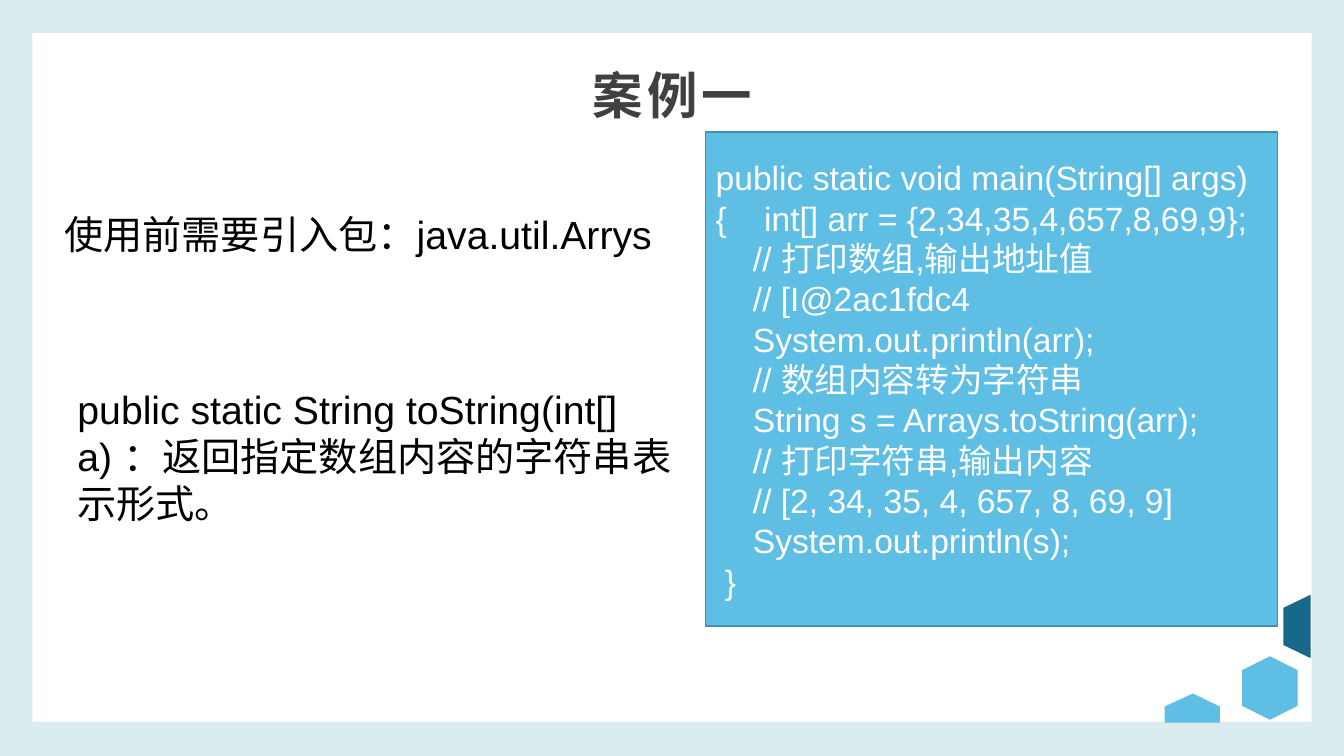
"""Builds a slide on printing Java arrays as strings."""
from lxml.etree import SubElement
from pptx import Presentation
from pptx.dml.color import RGBColor
from pptx.enum.shapes import MSO_SHAPE
from pptx.enum.text import MSO_ANCHOR, MSO_AUTO_SIZE, PP_ALIGN
from pptx.oxml.ns import qn
from pptx.util import Inches, Pt

CODE = """public static void main(String[] args) {    int[] arr = {2,34,35,4,657,8,69,9};
    // 打印数组,输出地址值
    // [I@2ac1fdc4
    System.out.println(arr);
    // 数组内容转为字符串
    String s = Arrays.toString(arr);
    // 打印字符串,输出内容
    // [2, 34, 35, 4, 657, 8, 69, 9]
    System.out.println(s);
 }"""


def color(code):
    return RGBColor.from_string(code)


class Deck:
    latin = "Arial"
    asian = "Noto Sans CJK SC"
    pale, white, blue, deep = "DBECF1", "FFFFFF", "5EBEE4", "17698A"
    edge, gray, black = "468DA9", "404040", "000000"

    def __init__(self):
        self.show = Presentation()
        self.show.slide_width = Inches(13.33)
        self.show.slide_height = Inches(7.5)
        self.slide = self.show.slides.add_slide(self.show.slide_layouts[6])
        back = self.slide.background.fill
        back.solid()
        back.fore_color.rgb = color(self.pale)

    def paint(self, shape, fill, line=None):
        shape.shadow.inherit = False
        shape.fill.solid()
        shape.fill.fore_color.rgb = color(fill)
        if line:
            shape.line.color.rgb = color(line)
            shape.line.width = Pt(1)
        else:
            shape.line.fill.background()
        return shape

    def block(self, kind, area, fill, line=None):
        shape = self.slide.shapes.add_shape(kind, *map(Inches, area))
        return self.paint(shape, fill, line)

    def outline(self, points, fill):
        first, *rest = [(Inches(x), Inches(y)) for x, y in points]
        form = self.slide.shapes.build_freeform(*first)
        form.add_line_segments(rest)
        return self.paint(form.convert_to_shape(), fill)

    def label(self, frame, text, size, ink, font=latin):
        frame.word_wrap = True
        frame.text = text
        for para in frame.paragraphs:
            para.alignment = PP_ALIGN.LEFT
            for run in para.runs:
                run.font.size = Pt(size)
                run.font.color.rgb = color(ink)
                run.font.name = font
                SubElement(run.font._element, qn("a:ea"), typeface=self.asian)

    def note(self, area, text):
        frame = self.slide.shapes.add_textbox(*map(Inches, area)).text_frame
        self.label(frame, text, 28, self.black)
        frame.auto_size = MSO_AUTO_SIZE.SHAPE_TO_FIT_TEXT

    def title(self, area, text):
        frame = self.slide.shapes.add_textbox(*map(Inches, area)).text_frame
        self.label(frame, text, 36, self.gray, self.asian)
        frame.vertical_anchor = MSO_ANCHOR.MIDDLE
        frame.margin_left = frame.margin_right = Inches(0.08)
        frame.margin_top, frame.margin_bottom = Inches(0.04), Inches(0.12)
        para = frame.paragraphs[0]
        para.alignment = PP_ALIGN.CENTER
        para.line_spacing = 0.9
        para.space_after = Pt(8)
        font = para.runs[0].font
        font.bold = True
        font._element.set("spc", "300")

    def panel(self, area, text):
        shape = self.block(MSO_SHAPE.RECTANGLE, area, self.blue, self.edge)
        self.label(shape.text_frame, text, 24, self.white)
        shape.text_frame.vertical_anchor = MSO_ANCHOR.MIDDLE


def main():
    deck = Deck()
    deck.block(MSO_SHAPE.RECTANGLE, (0.32, 0.33, 12.69, 6.83), deck.white)
    deck.block(MSO_SHAPE.HEXAGON, (12.28, 6.55, 0.63, 0.55), deck.blue).rotation = 270
    deck.outline([(11.83, 6.88), (12.1, 7.01), (12.1, 7.17),
                  (11.55, 7.17), (11.55, 7.01)], deck.blue)
    deck.outline([(13, 5.9), (12.73, 6.03), (12.73, 6.4), (13, 6.53)], deck.deep)
    deck.title((0.67, 0.33, 12, 1.36), "案例一")
    deck.note((0.54, 2.04, 6.46, 0.57), "使用前需要引入包：java.util.Arrys")
    deck.panel((7, 1.31, 5.67, 4.9), CODE)
    deck.note((0.67, 3.77, 6.33, 1.51),
              "public static String toString(int[] a) ：返回指定数组内容的字符串表示形式。")
    deck.show.save("out.pptx")


if __name__ == "__main__":
    main()
